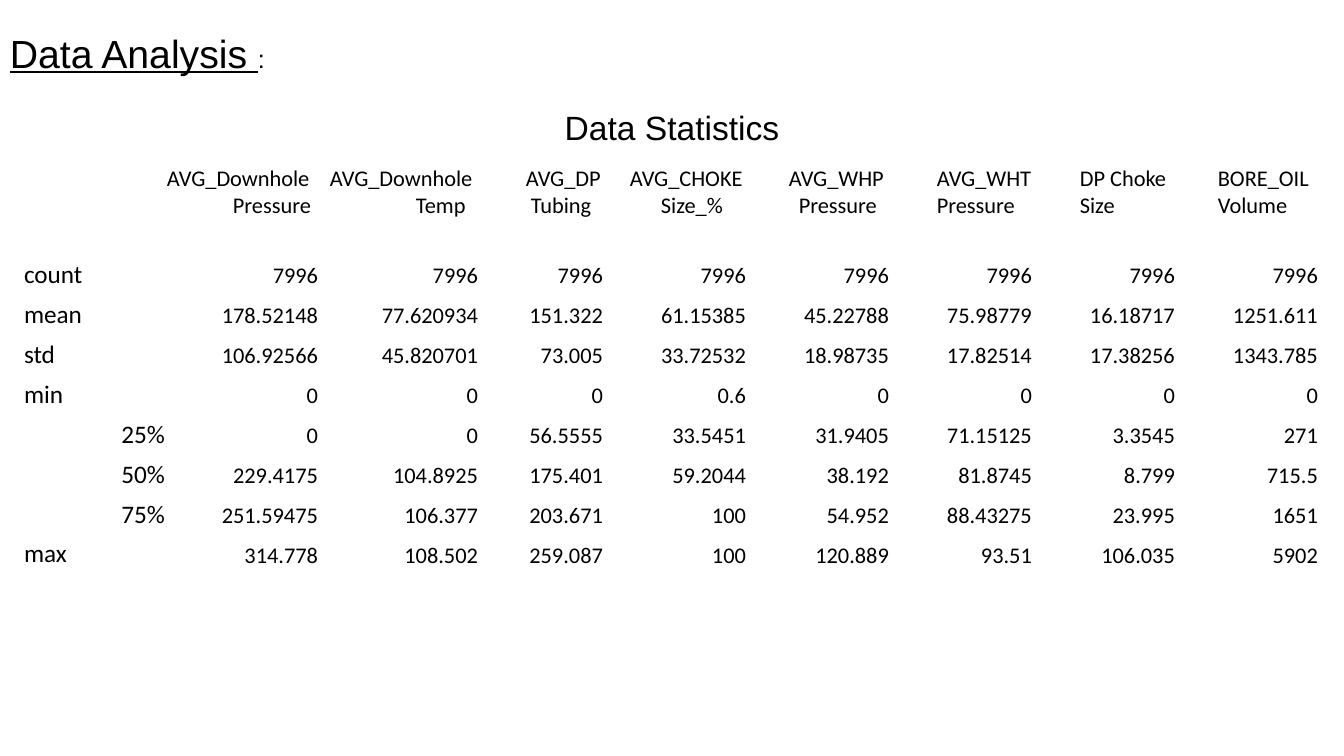
import pptx
import pptx.util
import pptx.dml.color
import pptx.enum.text
import pptx.oxml
import pptx.oxml.ns

SCALE = 914400 / 100.8
BLACK = pptx.dml.color.RGBColor(0, 0, 0)
WHITE = pptx.dml.color.RGBColor(255, 255, 255)
ALIGN = pptx.enum.text.PP_ALIGN
ANCHOR = pptx.enum.text.MSO_ANCHOR

WIDTHS = [143, 153, 160, 125] + [143] * 5
HEIGHTS = [86] + [40] * 8
HEADS = [
    (("AVG_Downhole", 0), ("Pressure", 66)),
    (("AVG_Downhole", 10), ("Temp", 96)),
    (("AVG_DP", 46), ("Tubing", 51)),
    (("AVG_CHOKE", 25), ("Size_%", 56)),
    (("AVG_WHP", 41), ("Pressure", 51)),
    (("AVG_WHT", 46), ("Pressure", 46)),
    (("DP Choke", 46), ("Size", 46)),
    (("BORE_OIL", 41), ("Volume", 41)),
]
ROWS = """
count 7996 7996 7996 7996 7996 7996 7996 7996
mean 178.52148 77.620934 151.322 61.15385 45.22788 75.98779 16.18717 1251.611
std 106.92566 45.820701 73.005 33.72532 18.98735 17.82514 17.38256 1343.785
min 0 0 0 0.6 0 0 0 0
25% 0 0 56.5555 33.5451 31.9405 71.15125 3.3545 271
50% 229.4175 104.8925 175.401 59.2044 38.192 81.8745 8.799 715.5
75% 251.59475 106.377 203.671 100 54.952 88.43275 23.995 1651
max 314.778 108.502 259.087 100 120.889 93.51 106.035 5902
"""


def px(count):
    return pptx.util.Emu(round(count * SCALE))


def style(font, name, size):
    font.name = name
    font.size = pptx.util.Pt(size)
    font.color.rgb = BLACK


def add_heading(slide, left, top, width, height):
    frame = slide.shapes.add_textbox(px(left), px(top), px(width), px(height)).text_frame
    frame.word_wrap = True
    frame.margin_top = px(29)
    title = frame.paragraphs[0]
    for text, size, line in (("Data Analysis ", 28, True), (":", 18, False)):
        run = title.add_run()
        run.text = text
        style(run.font, "Arial", size)
        run.font.underline = line
    label = frame.add_paragraph()
    label.text = "Data Statistics"
    label.alignment = ALIGN.CENTER
    label.space_before = pptx.util.Pt(22)
    style(label.font, "Arial", 24)


def format_cell(cell):
    cell.margin_left = cell.margin_right = cell.margin_top = px(1)
    cell.margin_bottom = 0
    props = cell._tc.get_or_add_tcPr()
    for side in ("lnL", "lnR", "lnT", "lnB"):
        props.append(pptx.oxml.parse_xml(
            f'<a:{side} {pptx.oxml.ns.nsdecls("a")} w="12700"><a:solidFill>'
            f'<a:srgbClr val="{WHITE}"/></a:solidFill></a:{side}>'))
    cell.fill.background()


def fill_head(cell, lines):
    frame = cell.text_frame
    for index, (text, indent) in enumerate(lines):
        para = frame.add_paragraph() if index else frame.paragraphs[0]
        para.text = text
        para._p.get_or_add_pPr().set("marL", str(px(indent)))
        style(para.font, "Calibri", 16)


def fill_value(cell, text, size):
    cell.vertical_anchor = ANCHOR.BOTTOM
    para = cell.text_frame.paragraphs[0]
    para.text = text
    para.alignment = ALIGN.LEFT if text.isalpha() else ALIGN.RIGHT
    style(para.font, "Calibri", size)


def add_stats(slide, left, top):
    rows = [line.split() for line in ROWS.strip().splitlines()]
    table = slide.shapes.add_table(
        len(HEIGHTS), len(WIDTHS), px(left), px(top),
        px(sum(WIDTHS)), px(sum(HEIGHTS))).table
    table.first_row = table.horz_banding = False
    for column, width in zip(table.columns, WIDTHS):
        column.width = px(width)
    for row, height in zip(table.rows, HEIGHTS):
        row.height = px(height)
    for cell in table.iter_cells():
        format_cell(cell)
    for col, lines in enumerate(HEADS, 1):
        fill_head(table.cell(0, col), lines)
    for row, values in enumerate(rows, 1):
        for col, text in enumerate(values):
            fill_value(table.cell(row, col), text, 16 if col else 18)


def main():
    deck = pptx.Presentation()
    deck.slide_width, deck.slide_height = px(1344), px(756)
    slide = deck.slides.add_slide(deck.slide_layouts[6])
    fill = slide.background.fill
    fill.solid()
    fill.fore_color.rgb = WHITE
    add_heading(slide, 0, 0, 1344, 76)
    add_stats(slide, 23, 164)
    deck.save("out.pptx")


if __name__ == "__main__":
    main()
